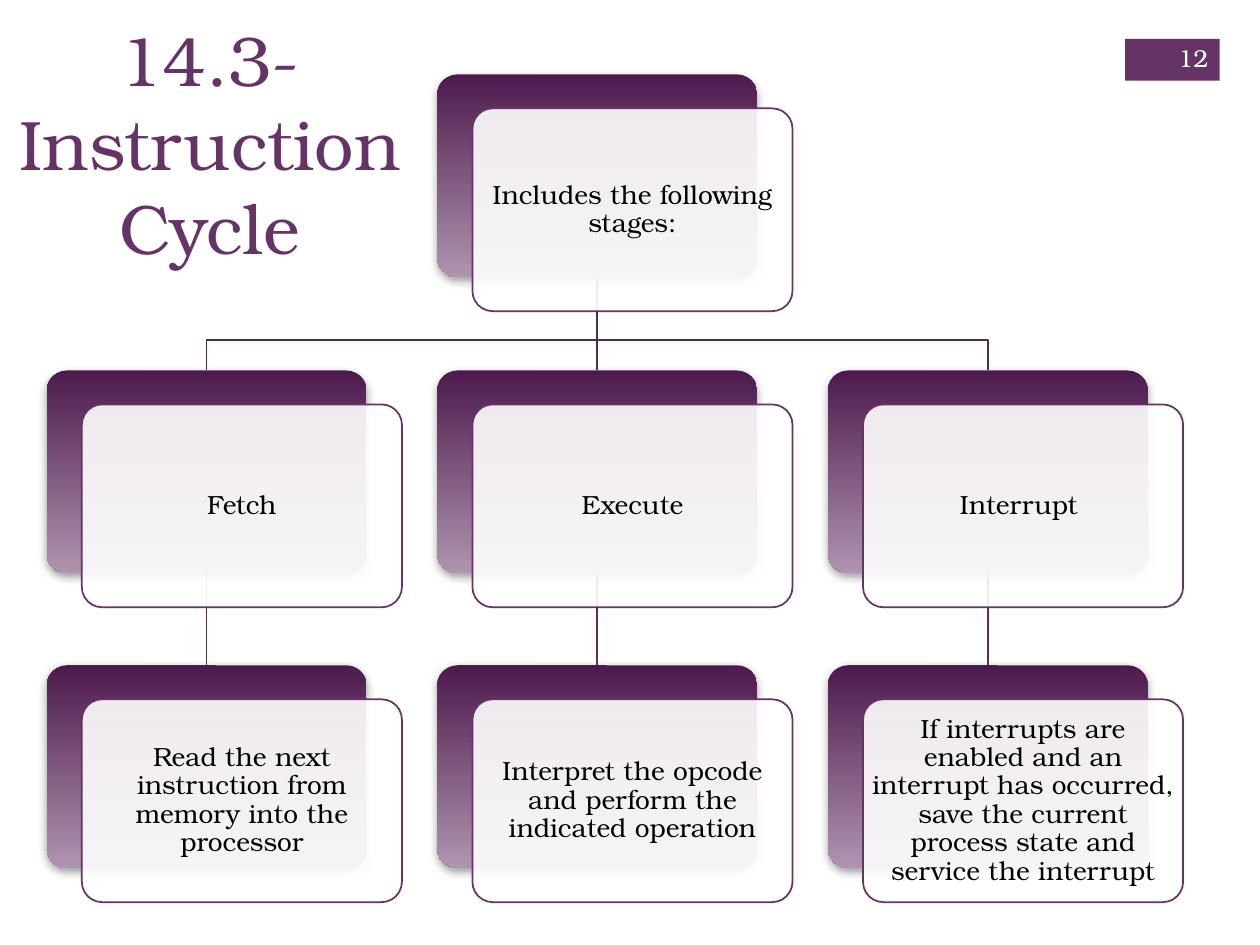
"""Build the instruction cycle slide with its three-column hierarchy."""
import pptx
import pptx.dml.color
import pptx.enum.shapes
import pptx.enum.text
import pptx.oxml.ns
import pptx.util
from lxml import etree
from pptx.util import Inches

COLORS = {
    "accent": "663366", "dark": "4D1A4D", "light": "AF94AF", "shadow": "808080",
    "upper_line": "522952", "lower_line": "5D2E5D", "text": "000000", "white": "FFFFFF",
}
FONT = "TeX Gyre Bonum"
CARD_WIDTH, CARD_HEIGHT = 2.54, 1.61
COLUMN_LEFTS = [0.37 + 3.1 * column for column in range(3)]
ROW_TOPS = [0.59, 2.94, 5.28]
STAGES = [
    ("Fetch", "Read the next instruction from memory into the processor"),
    ("Execute", "Interpret the opcode and perform the indicated operation"),
    ("Interrupt ", "If interrupts are enabled and an interrupt has occurred, "
                   "save the current process state and service the interrupt"),
]
ALIGN = pptx.enum.text.PP_ALIGN
ANCHOR = pptx.enum.text.MSO_ANCHOR
SHAPE = pptx.enum.shapes.MSO_SHAPE


def color(name):
    """Return the named colour as an RGBColor."""
    return pptx.dml.color.RGBColor.from_string(COLORS[name])


def add_child(parent, tag, **attributes):
    """Append a drawing element to a parent and return it."""
    return etree.SubElement(parent, pptx.oxml.ns.qn(tag), **attributes)


def write_text(shape, text, size, color_name, align, anchor, insets):
    """Fill a shape with one formatted paragraph."""
    frame = shape.text_frame
    frame.text = text
    frame.word_wrap = True
    frame.auto_size = pptx.enum.text.MSO_AUTO_SIZE.NONE
    frame.vertical_anchor = anchor
    frame.margin_left = frame.margin_right = Inches(insets[0])
    frame.margin_top = frame.margin_bottom = Inches(insets[1])
    paragraph = frame.paragraphs[0]
    paragraph.alignment = align
    font = paragraph.runs[0].font
    font.name, font.size = FONT, pptx.util.Pt(size)
    font.color.rgb = color(color_name)
    return paragraph


def style_line(shape, color_name):
    """Give a shape a one-point line and no shadow."""
    shape.line.color.rgb = color(color_name)
    shape.line.width = pptx.util.Pt(1)


def add_title(slide, text):
    """Place the slide title at the top left."""
    title = slide.shapes.title
    title.left, title.top = Inches(0.05), Inches(0.08)
    title.width, title.height = Inches(3.23), Inches(2.11)
    write_text(title, text, 40, "accent", ALIGN.CENTER, ANCHOR.TOP, (0.05, 0.05))


def add_page_number(slide, number):
    """Draw the page number on its coloured badge."""
    badge = slide.shapes.add_shape(
        SHAPE.RECTANGLE, Inches(8.93), Inches(0.31), Inches(0.75), Inches(0.33))
    badge.shadow.inherit = False
    badge.fill.solid()
    badge.fill.fore_color.rgb = color("accent")
    badge.line.fill.background()
    box = slide.shapes.add_textbox(Inches(9.08), Inches(0.26), Inches(0.61), Inches(0.4))
    write_text(box, number, 14, "white", ALIGN.RIGHT, ANCHOR.MIDDLE, (0.1, 0.05))


def add_straight_link(slide, center, top, bottom, color_name):
    """Join two cards of one column with a vertical line."""
    link = slide.shapes.add_connector(
        pptx.enum.shapes.MSO_CONNECTOR.STRAIGHT,
        Inches(center), Inches(top), Inches(center), Inches(bottom))
    style_line(link, color_name)
    add_child(link._element.spPr, "a:effectLst")


def add_elbow_link(slide, start, end, bend):
    """Join the root card to a card in another column."""
    points = [(start[0], bend), (end[0], bend), end]
    builder = slide.shapes.build_freeform(Inches(start[0]), Inches(start[1]))
    builder.add_line_segments([(Inches(x), Inches(y)) for x, y in points], close=False)
    link = builder.convert_to_shape()
    link.shadow.inherit = False
    link.fill.background()
    style_line(link, "upper_line")


def add_rounded(slide, left, top):
    """Add a card-sized rounded rectangle without shadow."""
    shape = slide.shapes.add_shape(
        SHAPE.ROUNDED_RECTANGLE, Inches(left), Inches(top),
        Inches(CARD_WIDTH), Inches(CARD_HEIGHT))
    shape.adjustments[0] = 0.1
    shape.shadow.inherit = False
    return shape


def add_card(slide, left, top, text):
    """Draw a gradient backing with a translucent text card over it."""
    backing = add_rounded(slide, left, top)
    backing.fill.gradient()
    backing.fill.gradient_angle = 270
    for stop, name in zip(backing.fill.gradient_stops, ("dark", "light")):
        stop.color.rgb = color(name)
    backing.line.fill.background()
    effects = backing._element.spPr.find(pptx.oxml.ns.qn("a:effectLst"))
    shadow = add_child(effects, "a:outerShdw", blurRad=str(pptx.util.Pt(5)),
                       dist=str(pptx.util.Pt(2)), dir="5400000", rotWithShape="0")
    shade = add_child(shadow, "a:srgbClr", val=COLORS["shadow"])
    add_child(shade, "a:alpha", val="75000")

    card = add_rounded(slide, left + 0.28, top + 0.27)
    card.fill.solid()
    card.fill.fore_color.rgb = color("white")
    fill_color = card._element.spPr.find(
        pptx.oxml.ns.qn("a:solidFill")).find(pptx.oxml.ns.qn("a:srgbClr"))
    add_child(fill_color, "a:alpha", val="90000")
    style_line(card, "accent")
    paragraph = write_text(
        card, text, 15, "text", ALIGN.CENTER, ANCHOR.MIDDLE, (0.01, 0.01))
    paragraph.line_spacing = 0.9


def add_hierarchy(slide):
    """Draw the links first and then the cards over them."""
    centers = [left + CARD_WIDTH / 2 for left in COLUMN_LEFTS]
    bottoms = [top + CARD_HEIGHT for top in ROW_TOPS]
    root = (centers[1], bottoms[0])
    for center in centers:
        add_straight_link(slide, center, bottoms[1], ROW_TOPS[2], "lower_line")
        if center == root[0]:
            add_straight_link(slide, center, root[1], ROW_TOPS[1], "upper_line")
        else:
            add_elbow_link(slide, root, (center, ROW_TOPS[1]), 2.7)
    add_card(slide, COLUMN_LEFTS[1], ROW_TOPS[0], "Includes the following stages:")
    for left, texts in zip(COLUMN_LEFTS, STAGES):
        for top, text in zip(ROW_TOPS[1:], texts):
            add_card(slide, left, top, text)


def main():
    """Create and save the presentation."""
    presentation = pptx.Presentation()
    presentation.slide_width, presentation.slide_height = Inches(10), Inches(7.5)
    slide = presentation.slides.add_slide(presentation.slide_layouts[5])
    add_page_number(slide, "12")
    add_hierarchy(slide)
    add_title(slide, "14.3-Instruction Cycle")
    presentation.save("out.pptx")


if __name__ == "__main__":
    main()
